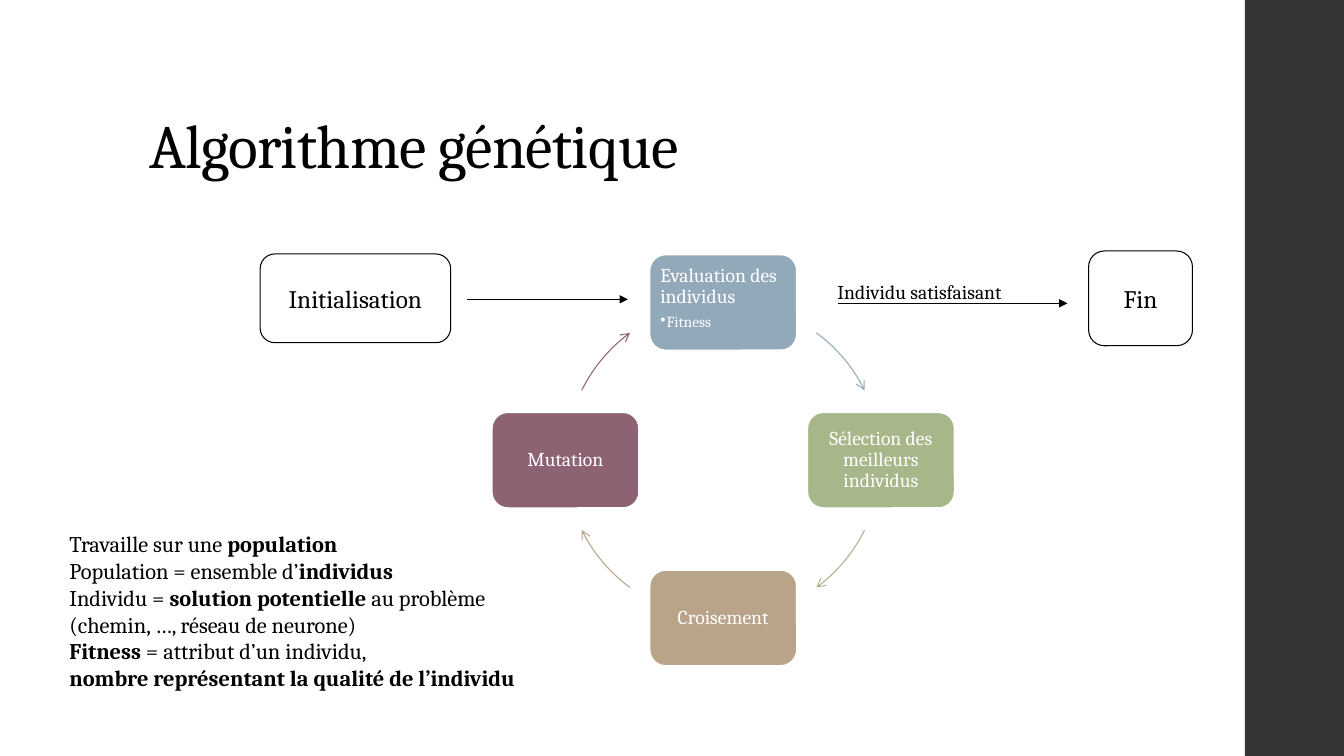
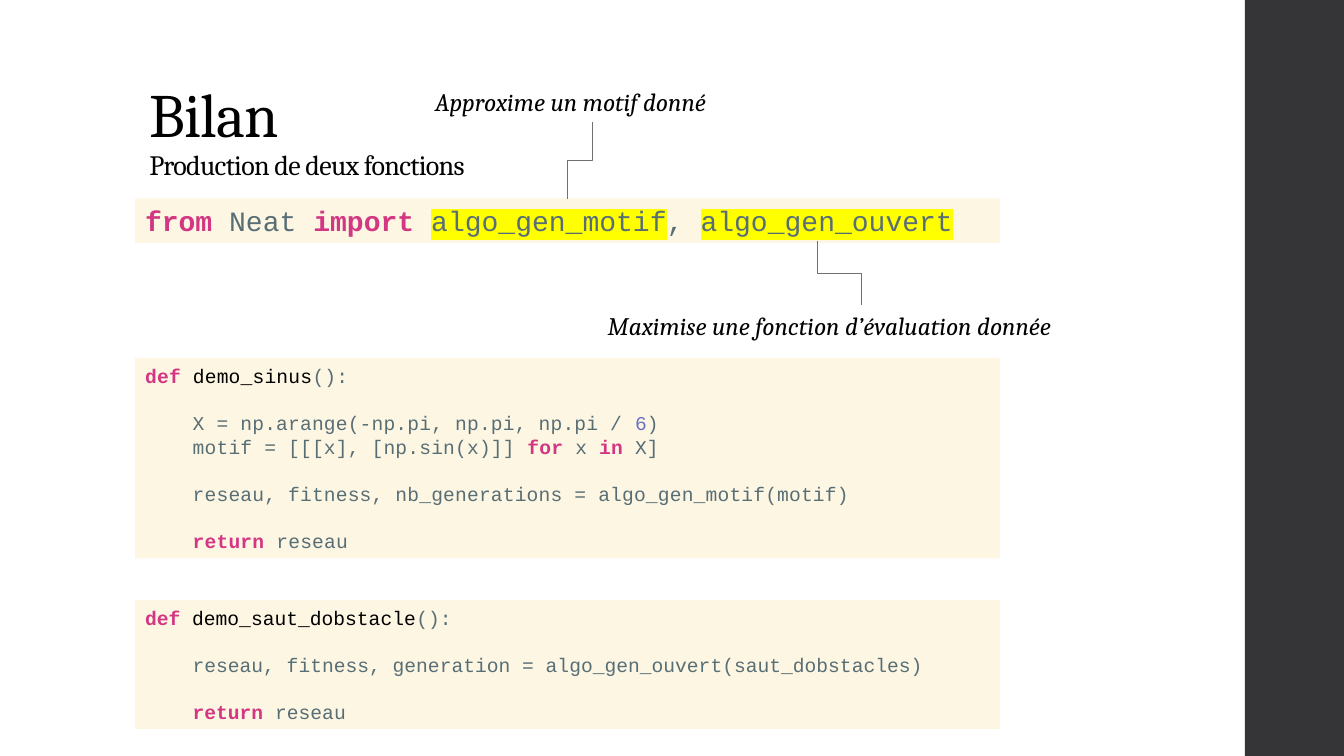
from math import cos, radians, sin

from lxml.etree import SubElement
from pptx import Presentation
from pptx.dml.color import RGBColor
from pptx.enum.shapes import MSO_CONNECTOR, MSO_SHAPE
from pptx.enum.text import MSO_ANCHOR, MSO_AUTO_SIZE, PP_ALIGN
from pptx.oxml.ns import qn
from pptx.util import Pt

SERIF = "Cambria"
MONO = "Courier New"
BLACK = "000000"
WHITE = "FFFFFF"
BAND = "353537"
CREAM = "FDF6E3"
GREY = "6F6F74"
SLATE = "586E75"
PINK = "D33682"
VIOLET = "6C71C4"
YELLOW = "FFFF00"


def add_box(slide, kind, left, top, width, height, fill=None, line=None, weight=0.75):
    box = slide.shapes.add_shape(kind, Pt(left), Pt(top), Pt(width), Pt(height))
    box.shadow.inherit = False
    for part, color in ((box.fill, fill), (box.line.fill, line)):
        if color:
            part.solid()
            part.fore_color.rgb = RGBColor.from_string(color)
        else:
            part.background()
    if line:
        box.line.width = Pt(weight)
    box.text_frame.word_wrap = True
    box.text_frame.vertical_anchor = MSO_ANCHOR.MIDDLE
    return box


def add_span(para, text, size, color=BLACK, font=SERIF, bold=False, italic=False,
             highlight=None, tracking=0):
    span = para.add_run()
    span.text = text
    span.font.size = Pt(size)
    span.font.name = font
    span.font.bold = bold
    span.font.italic = italic
    span.font.color.rgb = RGBColor.from_string(color)
    properties = span._r.get_or_add_rPr()
    if tracking:
        properties.set("spc", str(tracking))
    if highlight:
        marker = SubElement(properties, qn("a:highlight"))
        SubElement(marker, qn("a:srgbClr")).set("val", highlight)
        properties.find(qn("a:solidFill")).addnext(marker)


deck = Presentation()
deck.slide_width = Pt(960)
deck.slide_height = Pt(540)

master = deck.slide_master
master_title = master.placeholders[0]
master_title.left, master_title.top = Pt(99.4), Pt(28.8)
master_title.width, master_title.height = Pt(763.2), Pt(104.4)
master_title.text_frame.vertical_anchor = MSO_ANCHOR.BOTTOM
title_style = master.element.find(".//" + qn("p:titleStyle")).find(qn("a:lvl1pPr"))
title_style.set("algn", "l")
line_spacing = SubElement(title_style, qn("a:lnSpc"))
SubElement(line_spacing, qn("a:spcPct")).set("val", "90000")
title_style.insert(0, line_spacing)
title_font = title_style.find(qn("a:defRPr"))
title_font.set("sz", "4400")
title_font.set("spc", "-50")
title_font.find(qn("a:latin")).set("typeface", SERIF)

cycle_slide = deck.slides.add_slide(deck.slide_layouts[5])
summary_slide = deck.slides.add_slide(deck.slide_layouts[1])
band = add_box(cycle_slide, MSO_SHAPE.RECTANGLE, 889.2, 0, 70.8, 540, BAND)
master.shapes.element.insert(2, band.element)

cycle_slide.shapes.title.text_frame.paragraphs[0].add_run().text = "Algorithme génétique"

center_x, center_y, radius = 516.6, 328.7, 112.7
step_width, step_height = 105.1, 68.4
steps = [
    ("Evaluation des individus", "92A9B9"),
    ("Sélection des meilleurs individus", "A7B789"),
    ("Croisement", "B9A489"),
    ("Mutation", "8D6374"),
]
for index, (label, color) in enumerate(steps):
    angle = radians(90 * index)
    box = add_box(cycle_slide, MSO_SHAPE.ROUNDED_RECTANGLE,
                  center_x + radius * sin(angle) - step_width / 2,
                  center_y - radius * cos(angle) - step_height / 2,
                  step_width, step_height, color, WHITE, 1.1)
    frame = box.text_frame
    frame.margin_left = frame.margin_right = Pt(4.3)
    frame.margin_top = frame.margin_bottom = Pt(4.3)
    para = frame.paragraphs[0]
    para.alignment = PP_ALIGN.CENTER
    para.line_spacing = 0.9
    add_span(para, label, 14, WHITE)
    if index == 0:
        frame.vertical_anchor = MSO_ANCHOR.TOP
        para.alignment = PP_ALIGN.LEFT
        para.space_after = Pt(5)
        para = frame.add_paragraph()
        para.alignment = PP_ALIGN.LEFT
        para.line_spacing = 0.9
        add_span(para, "Fitness", 11, WHITE)
        properties = para._p.get_or_add_pPr()
        properties.set("marL", str(Pt(4.5)))
        properties.set("indent", str(Pt(-4.5)))
        SubElement(properties, qn("a:buChar")).set("char", "•")

    start = 90 * index + (26.3 if index % 2 else 36.2)
    angles = [radians(start + 27.5 * part / 10) for part in range(11)]
    points = [(Pt(center_x + radius * sin(angle)), Pt(center_y - radius * cos(angle)))
              for angle in angles]
    builder = cycle_slide.shapes.build_freeform(*points[0])
    builder.add_line_segments(points[1:], close=False)
    arc = builder.convert_to_shape()
    arc.shadow.inherit = False
    arc.fill.background()
    arc.line.color.rgb = RGBColor.from_string(color)
    arc.line.width = Pt(0.75)
    SubElement(arc.element.spPr.find(qn("a:ln")), qn("a:tailEnd")).set("type", "arrow")

for label, left, top, width, height in [
    ("Initialisation", 185.8, 181.4, 136.1, 63.4),
    ("Fin", 777.6, 179.3, 74.2, 67.7),
]:
    box = add_box(cycle_slide, MSO_SHAPE.ROUNDED_RECTANGLE, left, top, width, height, line=BLACK)
    para = box.text_frame.paragraphs[0]
    para.alignment = PP_ALIGN.CENTER
    add_span(para, label, 18)

summary_title = summary_slide.shapes.title.text_frame.paragraphs[0]
summary_title.add_run().text = "Bilan"
summary_title.add_line_break()
subtitle = summary_title.add_run()
subtitle.text = "Production de deux fonctions"
subtitle.font.size = Pt(20)

demo_box = summary_slide.placeholders[1]
demo_box.left, demo_box.top = Pt(96.5), Pt(255.6)
demo_box.width, demo_box.height = Pt(617.8), Pt(143.3)
demo_box.fill.solid()
demo_box.fill.fore_color.rgb = RGBColor.from_string(CREAM)
demo_box.text_frame.vertical_anchor = MSO_ANCHOR.MIDDLE
demo_box.text_frame.auto_size = MSO_AUTO_SIZE.NONE
import_box = add_box(summary_slide, MSO_SHAPE.RECTANGLE, 96.5, 141.8, 617.8, 31.7, CREAM)
jump_box = add_box(summary_slide, MSO_SHAPE.RECTANGLE, 96.5, 428.4, 617.8, 92.2, CREAM)

code_styles = {
    "keyword": {"color": PINK, "bold": True},
    "name": {"color": BLACK},
    "plain": {"color": SLATE},
    "number": {"color": VIOLET},
    "marked": {"color": SLATE, "highlight": YELLOW},
}
code_blocks = [
    (import_box, 20, 0, [
        (0, 0, [("from ", "keyword"), ("Neat ", "plain"), ("import ", "keyword"),
                ("algo_gen_motif", "marked"), (", ", "plain"), ("algo_gen_ouvert", "marked")]),
    ]),
    (demo_box, 14, 10, [
        (0, 0, [("def ", "keyword"), ("demo_sinus", "name"), ("():", "plain")]),
        (1, 1, [("X = np.arange(-np.pi, np.pi, np.pi / ", "plain"), ("6", "number"),
                (")", "plain")]),
        (1, 0, [("motif = [[[x], [np.sin(x)]] ", "plain"), ("for ", "keyword"),
                ("x ", "plain"), ("in ", "keyword"), ("X]", "plain")]),
        (1, 1, [("reseau, fitness, nb_generations = algo_gen_motif(motif)", "plain")]),
        (1, 1, [("return ", "keyword"), ("reseau", "plain")]),
    ]),
    (jump_box, 14, 0, [
        (0, 0, [("def ", "keyword"), ("demo_saut_dobstacle", "name"), ("():", "plain")]),
        (1, 1, [("reseau, fitness, generation = algo_gen_ouvert(saut_dobstacles)", "plain")]),
        (1, 1, [("return ", "keyword"), ("reseau", "plain")]),
    ]),
]
for box, size, tracking, lines in code_blocks:
    frame = box.text_frame
    pitch = 1.2 * size
    for index, (depth, gap, spans) in enumerate(lines):
        para = frame.add_paragraph() if index else frame.paragraphs[0]
        para.alignment = PP_ALIGN.LEFT
        para.line_spacing = Pt(pitch)
        para.space_before = Pt(pitch * gap)
        properties = para._p.get_or_add_pPr()
        properties.set("marL", str(Pt(34 * depth)))
        properties.set("indent", "0")
        SubElement(properties, qn("a:buNone"))
        for text, style in spans:
            add_span(para, text, size, font=MONO, tracking=tracking, **code_styles[style])

notes = [
    (cycle_slide, 591.1, 196.6, 150.5, 24.5, 14, False, [[("Individu satisfaisant", False)]]),
    (cycle_slide, 42.5, 375.1, 412.6, 123.8, 16, False, [
        [("Travaille sur une ", False), ("population", True)],
        [("Population = ensemble d’", False), ("individus", True)],
        [("Individu = ", False), ("solution potentielle ", True), ("au problème", False)],
        [("(chemin, …, réseau de neurone)", False)],
        [("Fitness", True), (" = attribut d’un individu,", False)],
        [("nombre représentant la qualité de l’individu", True)],
    ]),
    (summary_slide, 303.8, 58.3, 239, 28.8, 18, True, [[("Approxime un motif donné", False)]]),
    (summary_slide, 427, 218.2, 378, 28.8, 18, True,
     [[("Maximise une fonction d’évaluation donnée", False)]]),
]
for slide, left, top, width, height, size, italic, lines in notes:
    box = slide.shapes.add_textbox(Pt(left), Pt(top), Pt(width), Pt(height))
    frame = box.text_frame
    frame.word_wrap = True
    for index, spans in enumerate(lines):
        para = frame.add_paragraph() if index else frame.paragraphs[0]
        for text, bold in spans:
            add_span(para, text, size, bold=bold, italic=italic)

links = [
    (cycle_slide, 333.4, 213.8, 448.6, 213.8),
    (cycle_slide, 598.3, 216.7, 762.5, 216.7),
    (summary_slide, 423.4, 87.1, 405.4, 141.8),
    (summary_slide, 583.9, 172.1, 615.6, 218.2),
]
for slide, start_x, start_y, end_x, end_y in links:
    bent = start_y != end_y
    kind = MSO_CONNECTOR.ELBOW if bent else MSO_CONNECTOR.STRAIGHT
    if bent:
        middle_x, middle_y = (start_x + end_x) / 2, (start_y + end_y) / 2
        half_width, half_height = (end_y - start_y) / 2, (start_x - end_x) / 2
        start_x, end_x = middle_x - half_width, middle_x + half_width
        start_y, end_y = middle_y - half_height, middle_y + half_height
    link = slide.shapes.add_connector(kind, Pt(start_x), Pt(start_y), Pt(end_x), Pt(end_y))
    link.line.color.rgb = RGBColor.from_string(GREY if bent else BLACK)
    link.line.width = Pt(0.75)
    properties = link.element.spPr
    if bent:
        properties.find(qn("a:xfrm")).set("rot", "5400000")
    else:
        SubElement(properties.find(qn("a:ln")), qn("a:tailEnd")).set("type", "triangle")
    SubElement(properties, qn("a:effectLst"))

deck.save("out.pptx")
